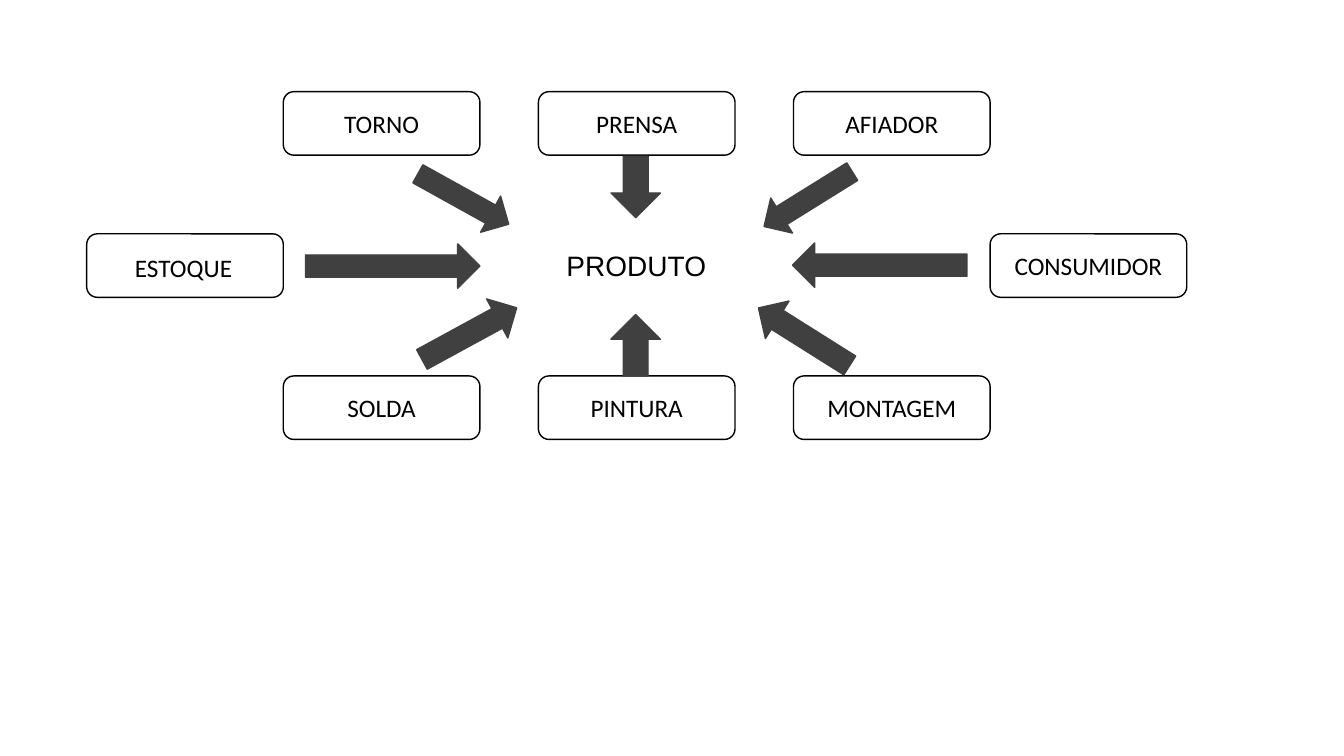
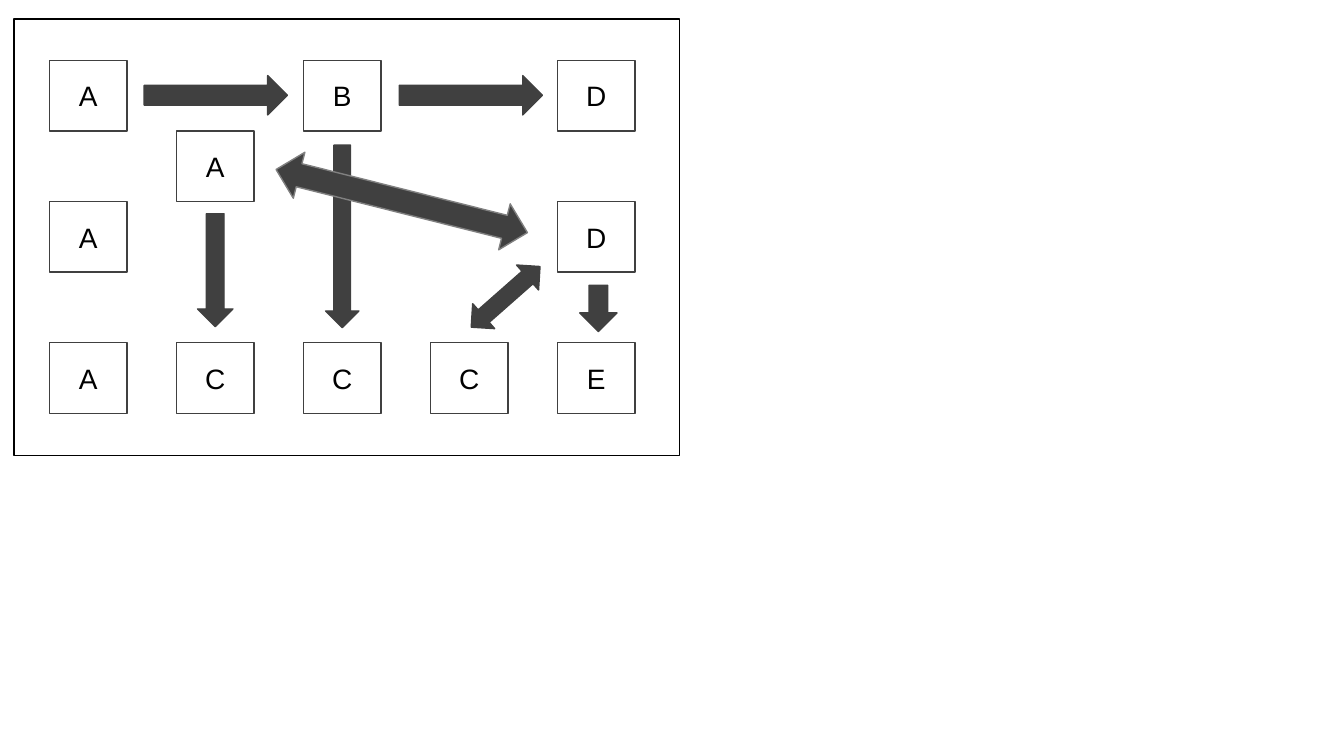
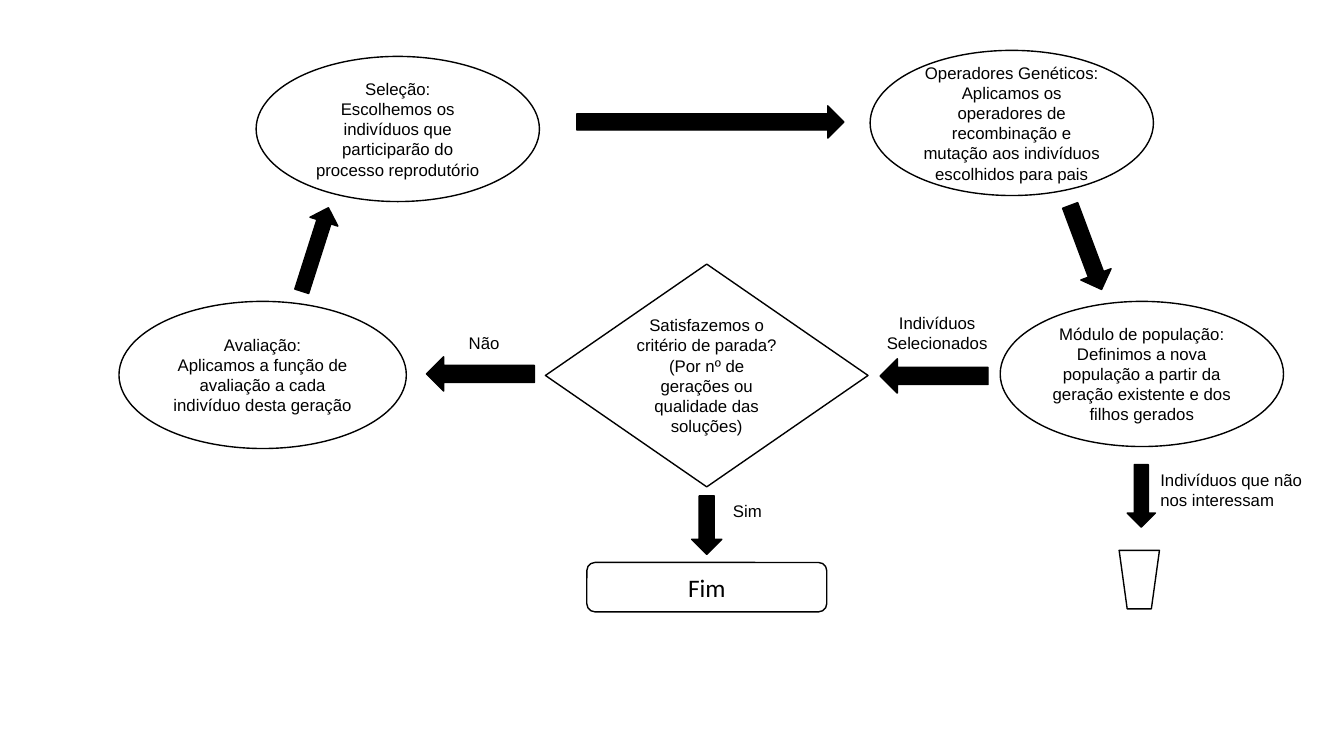
import pptx
import pptx.util
import pptx.dml.color
import pptx.enum.shapes
import pptx.enum.text

Inches = pptx.util.Inches
Pt = pptx.util.Pt
RGBColor = pptx.dml.color.RGBColor
Shape = pptx.enum.shapes.MSO_SHAPE
Align = pptx.enum.text.PP_ALIGN
Anchor = pptx.enum.text.MSO_ANCHOR
AutoSize = pptx.enum.text.MSO_AUTO_SIZE

BLACK = RGBColor(0x00, 0x00, 0x00)
WHITE = RGBColor(0xFF, 0xFF, 0xFF)
CHARCOAL = RGBColor(0x40, 0x40, 0x40)
GRAY = RGBColor(0x80, 0x80, 0x80)

PROCESS = ("Calibri", 18)
HEADING = ("Arial", 20)
BODY = ("Arial", 12)


class Diagram:
    def __init__(self, presentation):
        self.presentation = presentation
        self.slide = None

    def new_slide(self):
        self.slide = self.presentation.slides.add_slide(self.presentation.slide_layouts[6])

    def add_text(self, frame, paragraphs, font, align):
        name, size = font
        for index, content in enumerate(paragraphs):
            paragraph = frame.paragraphs[0] if index == 0 else frame.add_paragraph()
            paragraph.alignment = align
            for part, line in enumerate(content.split("\n")):
                if part:
                    paragraph.add_line_break()
                run = paragraph.add_run()
                run.text = line
                run.font.name = name
                run.font.size = Pt(size)
                run.font.color.rgb = BLACK

    def outline(self, kind, at, fill=WHITE, line=BLACK):
        shape = self.slide.shapes.add_shape(kind, *map(Inches, at))
        shape.shadow.inherit = False
        if fill is None:
            shape.fill.background()
        else:
            shape.fill.solid()
            shape.fill.fore_color.rgb = fill
        shape.line.color.rgb = line
        shape.line.width = Pt(1)
        return shape

    def node(self, kind, at, paragraphs, font, line=BLACK):
        frame = self.outline(kind, at, line=line).text_frame
        frame.word_wrap = True
        frame.vertical_anchor = Anchor.MIDDLE
        self.add_text(frame, paragraphs, font, Align.CENTER)

    def arrow(self, kind, at, color, rotation=0, line=None):
        self.outline(kind, at, color, line or color).rotation = rotation

    def label(self, at, paragraphs, font, align=Align.LEFT, wrap=True):
        frame = self.slide.shapes.add_textbox(*map(Inches, at)).text_frame
        frame.word_wrap = wrap
        frame.auto_size = AutoSize.SHAPE_TO_FIT_TEXT
        self.add_text(frame, paragraphs, font, align)


def build_product_layout(diagram):
    diagram.new_slide()
    width, height = 1.95, 0.63
    left, column_step = 2.81, 2.53
    top, row_step = 0.91, 1.41
    stations = (("TORNO", "PRENSA", "AFIADOR"), ("SOLDA", "PINTURA", "MONTAGEM"))
    for row, names in enumerate(stations):
        for column, name in enumerate(names):
            at = (left + column * column_step, top + 2 * row * row_step, width, height)
            diagram.node(Shape.ROUNDED_RECTANGLE, at, [name], PROCESS)
    middle = top + row_step
    diagram.outline(Shape.ROUNDED_RECTANGLE, (0.86, middle, width, height))
    diagram.node(Shape.ROUNDED_RECTANGLE, (9.82, middle, width, height), ["CONSUMIDOR"], PROCESS)
    diagram.label((5.52, 2.42, 1.61, 0.44), ["PRODUTO"], HEADING)
    for at, rotation in (
        ((4.08, 1.77, 1.03, 0.41), 29),
        ((3.03, 2.42, 1.73, 0.44), 0),
        ((4.12, 3.09, 1.07, 0.44), 331.4),
        ((6, 3.18, 0.61, 0.49), 270),
        ((6, 1.61, 0.61, 0.49), 90),
        ((7.86, 2.41, 1.73, 0.44), 180),
        ((7.44, 3.12, 1.07, 0.44), 212.2),
        ((7.5, 1.77, 1.03, 0.41), 148.1),
    ):
        diagram.arrow(Shape.RIGHT_ARROW, at, CHARCOAL, rotation)
    diagram.label((1.24, 2.45, 1.19, 0.4), ["ESTOQUE"], PROCESS)


def build_machine_grid(diagram):
    diagram.new_slide()
    column_step, row_step = 1.26, 0.7
    for name, column, row in (
        ("A", 0, 0), ("A", 0, 2), ("A", 0, 4),
        ("A", 1, 1), ("C", 1, 4),
        ("B", 2, 0), ("C", 2, 4),
        ("C", 3, 4),
        ("E", 4, 4), ("D", 4, 2), ("D", 4, 0),
    ):
        at = (0.49 + column * column_step, 0.6 + row * row_step, 0.77, row_step)
        diagram.node(Shape.RECTANGLE, at, [name], HEADING, CHARCOAL)
    for kind, at in (
        (Shape.RIGHT_ARROW, (1.43, 0.75, 1.42, 0.39)),
        (Shape.DOWN_ARROW, (1.96, 2.12, 0.35, 1.12)),
        (Shape.DOWN_ARROW, (3.23, 1.44, 0.33, 1.81)),
        (Shape.RIGHT_ARROW, (3.96, 0.75, 1.42, 0.39)),
        (Shape.DOWN_ARROW, (5.75, 2.83, 0.37, 0.46)),
    ):
        diagram.arrow(kind, at, CHARCOAL)
    diagram.arrow(Shape.LEFT_RIGHT_ARROW, (2.7, 1.76, 2.57, 0.47), CHARCOAL, 14.1, GRAY)
    diagram.arrow(Shape.LEFT_RIGHT_ARROW, (4.56, 2.78, 0.91, 0.33), CHARCOAL, 318.6)
    diagram.outline(Shape.RECTANGLE, (0.14, 0.19, 6.6, 4.33), fill=None)


def build_genetic_cycle(diagram):
    diagram.new_slide()
    for at, paragraphs in (
        ((1.18, 2.99, 2.85, 1.46),
         ["Avaliação:", "Aplicamos a função de avaliação a cada indivíduo desta geração"]),
        ((9.92, 2.99, 2.81, 1.44),
         ["Módulo de população:",
          "Definimos a nova população a partir da geração existente e dos filhos gerados"]),
        ((8.63, 0.5, 2.81, 1.44),
         ["Operadores Genéticos:\nAplicamos os operadores de recombinação e mutação "
          "aos indivíduos escolhidos para pais"]),
        ((2.54, 0.56, 2.81, 1.44),
         ["Seleção:", "Escolhemos os indivíduos que participarão do processo reprodutório"]),
    ):
        diagram.node(Shape.OVAL, at, paragraphs, BODY)
    diagram.node(
        Shape.DIAMOND, (5.41, 2.62, 3.2, 2.21),
        ["Satisfazemos o critério de parada? (Por nº de gerações ou qualidade das soluções)"],
        BODY)
    diagram.node(Shape.ROUNDED_RECTANGLE, (5.82, 5.58, 2.38, 0.49), ["Fim"], PROCESS)
    for kind, at, rotation in (
        (Shape.RIGHT_ARROW, (5.72, 1.05, 2.65, 0.32), 0),
        (Shape.DOWN_ARROW, (11.18, 4.61, 0.28, 0.62), 0),
        (Shape.LEFT_ARROW, (8.73, 3.56, 1.07, 0.34), 0),
        (Shape.LEFT_ARROW, (4.23, 3.54, 1.07, 0.34), 0),
        (Shape.RIGHT_ARROW, (2.69, 2.33, 0.87, 0.29), 287.7),
        (Shape.DOWN_ARROW, (10.61, 2.01, 0.32, 0.89), 339.5),
        (Shape.DOWN_ARROW, (6.86, 4.92, 0.3, 0.58), 0),
    ):
        diagram.arrow(kind, at, BLACK, rotation)
    diagram.label((4.55, 3.25, 0.51, 0.3), ["Não"], BODY, wrap=False)
    diagram.label((7.17, 4.92, 0.62, 0.3), ["Sim"], BODY)
    diagram.label((8.65, 3.05, 1.29, 0.5), ["Indivíduos", "Selecionados"], BODY, Align.CENTER)
    diagram.outline(Shape.FLOWCHART_MANUAL_OPERATION, (11.1, 5.46, 0.4, 0.58))
    diagram.label((11.41, 4.61, 1.63, 0.5), ["Indivíduos que não nos interessam"], BODY)


presentation = pptx.Presentation()
presentation.slide_width = Inches(13.33)
presentation.slide_height = Inches(7.5)
diagram = Diagram(presentation)
build_product_layout(diagram)
build_machine_grid(diagram)
build_genetic_cycle(diagram)
presentation.save("out.pptx")
